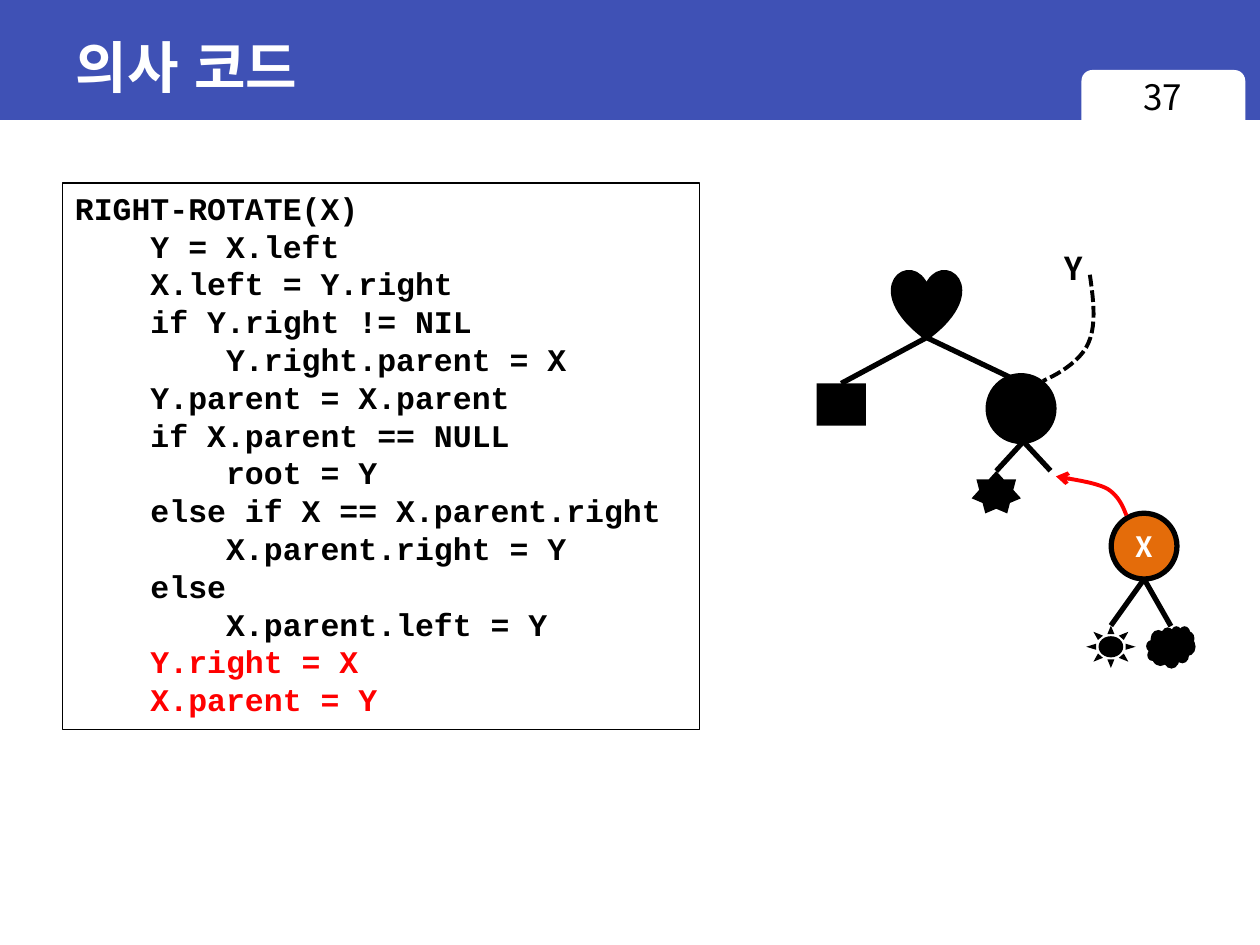
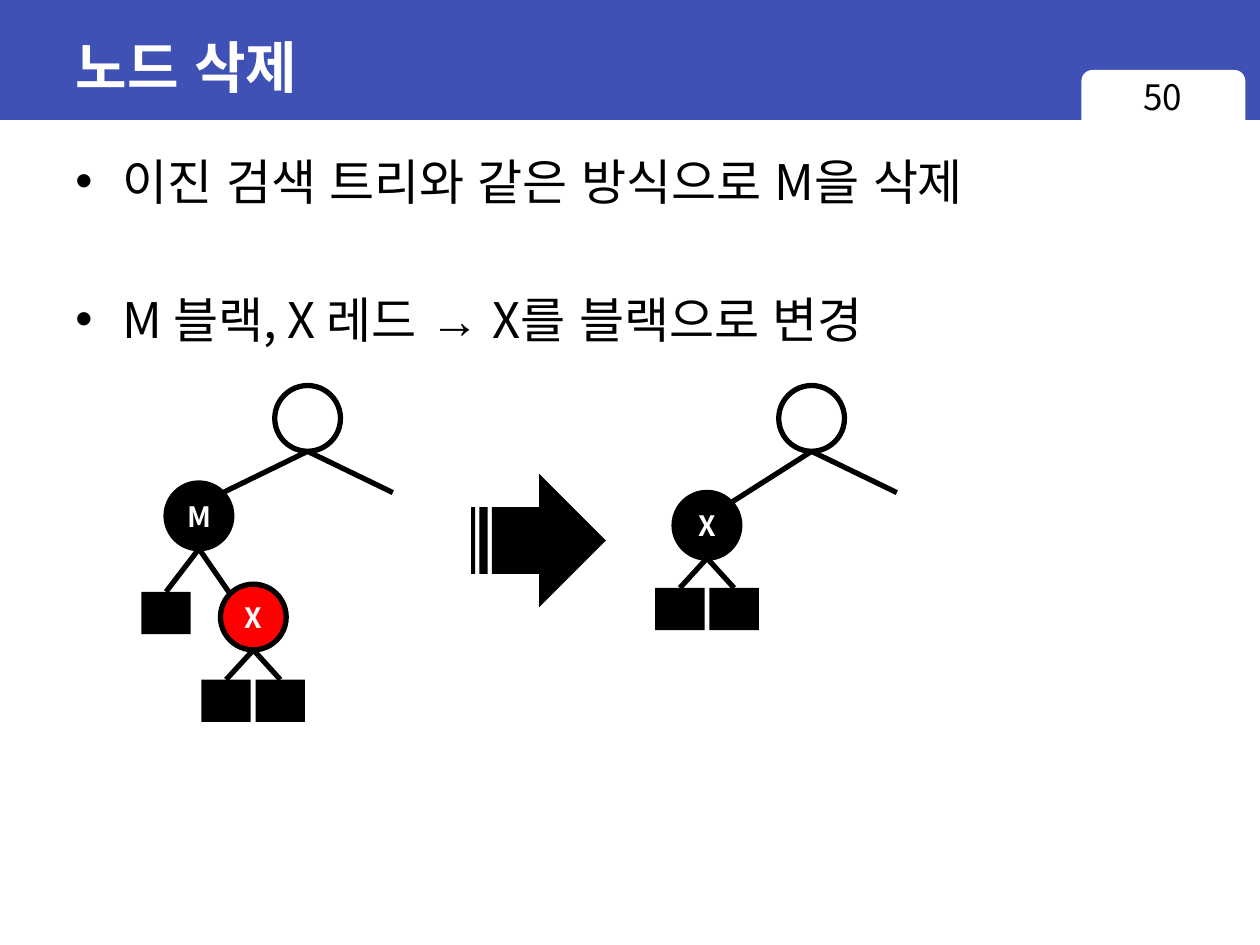
from lxml import etree
from pptx import Presentation
from pptx.dml.color import RGBColor
from pptx.enum.dml import MSO_LINE
from pptx.enum.shapes import MSO_CONNECTOR, MSO_SHAPE
from pptx.enum.text import MSO_ANCHOR, PP_ALIGN
from pptx.oxml.ns import qn
from pptx.util import Pt

COLORS = {"band": "3F51B5", "white": "FFFFFF", "black": "000000",
          "red": "FF0000", "orange": "E46C0A"}
SANS, TITLE_FONT, CODE_FONT = "Noto Sans CJK KR", "Arial", "Courier New"
LEFT, CENTER = PP_ALIGN.LEFT, PP_ALIGN.CENTER
TOP, MIDDLE = MSO_ANCHOR.TOP, MSO_ANCHOR.MIDDLE
RECT, ROUNDED, OVAL = MSO_SHAPE.RECTANGLE, MSO_SHAPE.ROUNDED_RECTANGLE, MSO_SHAPE.OVAL
HEART, STAR, SUN, CLOUD = MSO_SHAPE.HEART, MSO_SHAPE.STAR_7_POINT, MSO_SHAPE.SUN, MSO_SHAPE.CLOUD
STRIPED_ARROW = MSO_SHAPE.STRIPED_RIGHT_ARROW
STRAIGHT, SYS_DASH = MSO_CONNECTOR.STRAIGHT, MSO_LINE.SQUARE_DOT
NODE_SIZE, LEAF_WIDTH, LEAF_HEIGHT = 37.6, 28.2, 24.2
EDGE_WIDTH, CURVE_WIDTH, CURVE_STEPS = 3, 2.25, 12

CODE = """RIGHT-ROTATE(X)
    Y = X.left
    X.left = Y.right
    if Y.right != NIL
        Y.right.parent = X
    Y.parent = X.parent
    if X.parent == NULL
        root = Y
    else if X == X.parent.right
        X.parent.right = Y
    else
        X.parent.left = Y
    Y.right = X
    X.parent = Y""".split("\n")
CURRENT_STEP = CODE[-2:]


def rgb(name):
    return RGBColor.from_string(COLORS[name])


def write(frame, lines, size=16, color="black", font=SANS, bold=False, align=LEFT,
          anchor=TOP, line_height=None, gap=0, bullet=None, marked=(), side_inset=7.2):
    """Fill a text frame; lines listed in marked turn red."""
    frame.word_wrap = True
    frame.vertical_anchor = anchor
    frame.margin_left = frame.margin_right = Pt(side_inset)
    for index, line in enumerate(lines):
        para = frame.paragraphs[0] if index == 0 else frame.add_paragraph()
        if bullet:
            props = para._p.get_or_add_pPr()
            props.set("marL", str(Pt(27)))
            props.set("indent", str(-Pt(27)))
            etree.SubElement(props, qn("a:buFont"), typeface="Arial")
            etree.SubElement(props, qn("a:buChar"), char=bullet)
        para.alignment = align
        para.space_before = Pt(gap if index else 0)
        if line_height:
            para.line_spacing = Pt(line_height)
        span = para.add_run()
        span.text = line
        span.font.name = font
        span.font.size = Pt(size)
        span.font.bold = bold
        span.font.color.rgb = rgb("red" if line in marked else color)
        etree.SubElement(span._r.get_or_add_rPr(), qn("a:ea"), typeface=TITLE_FONT)


def bezier(start, first, second, end):
    """Points along one cubic curve, without its start."""
    for step in range(1, CURVE_STEPS + 1):
        t = step / CURVE_STEPS
        weights = ((1 - t) ** 3, 3 * t * (1 - t) ** 2, 3 * t * t * (1 - t), t ** 3)
        yield tuple(sum(w * p[axis] for w, p in zip(weights, (start, first, second, end)))
                    for axis in (0, 1))


class TreeDeck:
    """Holds the deck, its style and the current page."""

    def __init__(self):
        self.deck = Presentation()
        self.deck.slide_width, self.deck.slide_height = Pt(720), Pt(540)
        self.page = None

    def new_page(self, title, number):
        self.page = self.deck.slides.add_slide(self.deck.slide_layouts[5])
        heading = self.page.shapes.title
        heading.left, heading.top, heading.width, heading.height = Pt(36), Pt(8), Pt(648), Pt(60)
        write(heading.text_frame, [title], size=32, color="white", font=TITLE_FONT,
              bold=True, anchor=MIDDLE)
        for box in (self.shape(RECT, 0, 0, 720, 68.5, "band"),
                    self.shape(ROUNDED, 618, 40, 93.6, 37, "white")):
            heading._element.addprevious(box._element)
        self.text([str(number)], 617.5, 39.6, 94, 37, size=20, align=CENTER)

    def text(self, lines, left, top, width, height, **style):
        box = self.page.shapes.add_textbox(Pt(left), Pt(top), Pt(width), Pt(height))
        write(box.text_frame, lines, **style)

    def shape(self, kind, left, top, width, height, fill=None, line=None, line_width=EDGE_WIDTH):
        box = self.page.shapes.add_shape(kind, Pt(left), Pt(top), Pt(width), Pt(height))
        box.shadow.inherit = False
        if fill:
            box.fill.solid()
            box.fill.fore_color.rgb = rgb(fill)
        else:
            box.fill.background()
        if line:
            box.line.color.rgb = rgb(line)
            box.line.width = Pt(line_width)
        else:
            box.line.fill.background()
        return box

    def node(self, left, top, label=None, fill="black", kind=OVAL):
        box = self.shape(kind, left, top, NODE_SIZE, NODE_SIZE, fill, "black")
        if label:
            write(box.text_frame, [label], color="white", bold=True, align=CENTER,
                  anchor=MIDDLE, side_inset=0)
        return box

    def leaf(self, left, top, kind=RECT):
        return self.shape(kind, left, top, LEAF_WIDTH, LEAF_HEIGHT, "black")

    def edge(self, parent, child=None, point=None, shift=0):
        """Line from the parent's bottom, moved right by shift, to the child's top or a point."""
        end = ((child.left + child.width // 2, child.top) if child
               else tuple(Pt(value) for value in point))
        line = self.page.shapes.add_connector(
            STRAIGHT, parent.left + parent.width // 2 + Pt(shift),
            parent.top + parent.height, *end)
        if child and child.auto_shape_type == RECT:
            line.end_connect(child, 0)
        line.line.color.rgb = rgb("black")
        line.line.width = Pt(EDGE_WIDTH)
        etree.SubElement(line._element.spPr, qn("a:effectLst"))

    def leaf_pair(self, parent, left, top):
        for offset in (0, 31):
            self.edge(parent, self.leaf(left + offset, top))

    def curve(self, start, controls, color, dash=None, arrow=False):
        """Smooth open line; controls holds three points for each section."""
        points, current = [], start
        for index in range(0, len(controls), 3):
            section = controls[index:index + 3]
            points += bezier(current, *section)
            current = section[-1]
        builder = self.page.shapes.build_freeform(Pt(start[0]), Pt(start[1]))
        builder.add_line_segments([(Pt(x), Pt(y)) for x, y in points], close=False)
        path = builder.convert_to_shape()
        path.shadow.inherit = False
        path.fill.background()
        path.line.color.rgb = rgb(color)
        path.line.width = Pt(CURVE_WIDTH)
        if dash:
            path.line.dash_style = dash
        if arrow:
            etree.SubElement(path.line._get_or_add_ln(), qn("a:tailEnd"), type="arrow")


def add_pseudocode(tree):
    tree.new_page("의사 코드", 37)
    frame = tree.shape(RECT, 35.7, 104.4, 364, 312.5, line="black", line_width=1)
    write(frame.text_frame, CODE, size=18, font=CODE_FONT, bold=True,
          line_height=21.6, marked=CURRENT_STEP)

    heart = tree.node(510.7, 155.3, kind=HEART)
    tree.edge(heart, tree.leaf(466.6, 219.1))
    tree.edge(heart, point=(578, 216))
    node_y = tree.node(564.7, 214.7)
    tree.edge(node_y, tree.leaf(555.2, 269.2, STAR), shift=1.3)
    tree.edge(node_y, point=(600.3, 269), shift=1.3)
    tree.text(["Y"], 601, 139, 26, 29, size=18, bold=True)
    tree.curve((622.8, 157), [(625, 172), (627, 188), (620.6, 198.7),
                              (614, 210), (598, 216.7), (596, 217.7)], "black", dash=SYS_DASH)

    node_x = tree.node(635, 293.3, "X", "orange")
    tree.edge(node_x, tree.leaf(655, 357.8, CLOUD))
    tree.edge(node_x, tree.leaf(620.7, 357.5, SUN))
    tree.curve((643.7, 294.5), [(641.5, 289), (639.4, 283.7), (633, 279.4),
                                (626.4, 275.8), (615, 274.3), (603.4, 272.2)], "red", arrow=True)


def add_deletion(tree):
    tree.new_page("노드 삭제", 50)
    tree.text(["이진 검색 트리와 같은 방식으로 M을 삭제", "M 블랙, X 레드 → X를 블랙으로 변경"],
              36, 82.8, 675, 130, size=28, gap=45.3, bullet="•")

    for left, child_point in ((157, (127.4, 281.5)), (445, (417.6, 287.3))):
        root = tree.node(left, 220.3, fill="white")
        tree.edge(root, point=(left + 67.5, 281.5))
        tree.edge(root, point=child_point)

    node_m = tree.node(94.9, 276, "M")
    tree.edge(node_m, tree.leaf(80.8, 338.2))
    tree.edge(node_m, point=(131.8, 339.8))
    tree.leaf_pair(tree.node(126, 333.8, "X", "red"), 115.1, 388.4)
    tree.shape(STRIPED_ARROW, 269.2, 270.7, 77, 76.3, "black")
    tree.leaf_pair(tree.node(385.2, 281.4, "X"), 374.4, 336)


def main():
    tree = TreeDeck()
    add_pseudocode(tree)
    add_deletion(tree)
    tree.deck.save("out.pptx")


if __name__ == "__main__":
    main()
